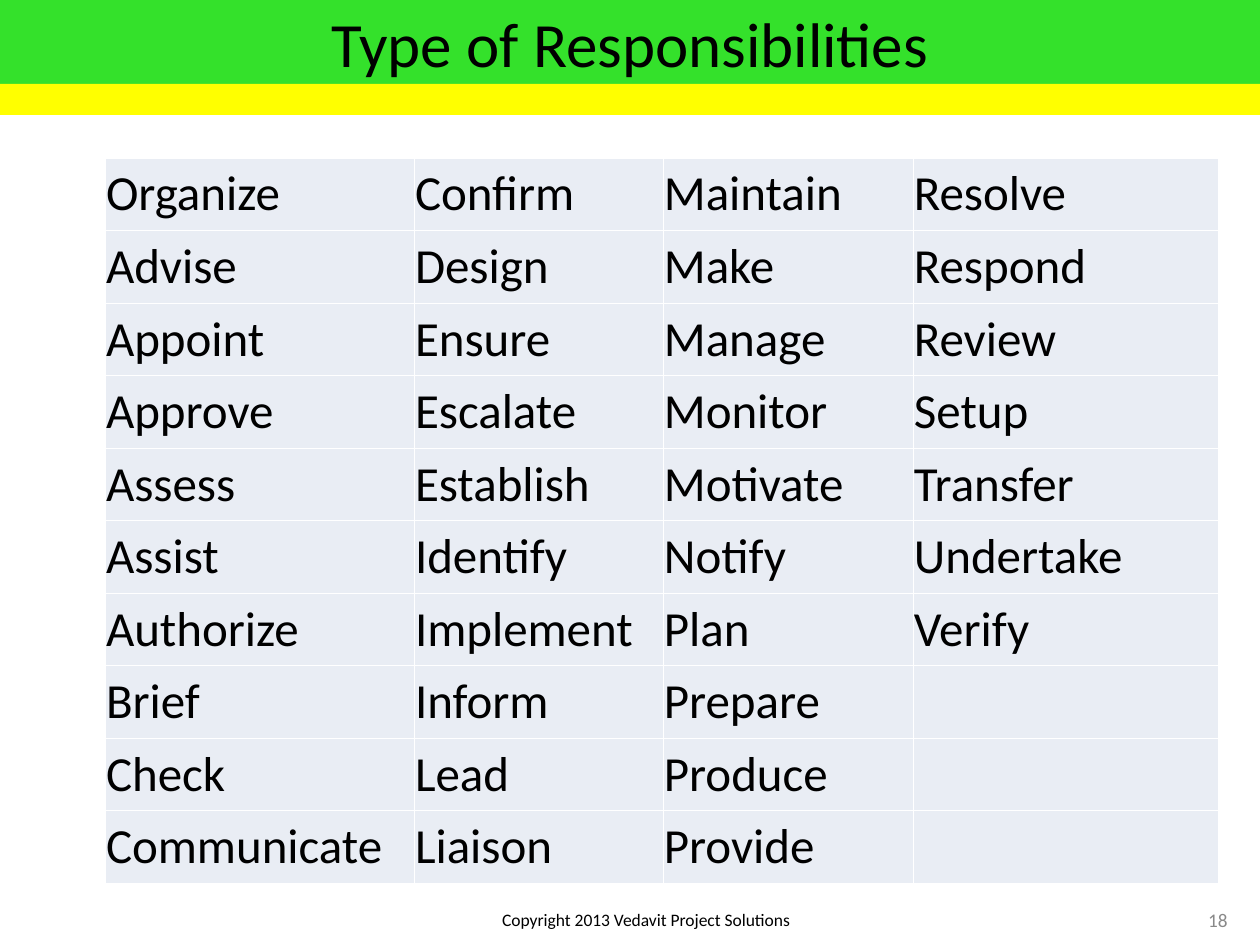
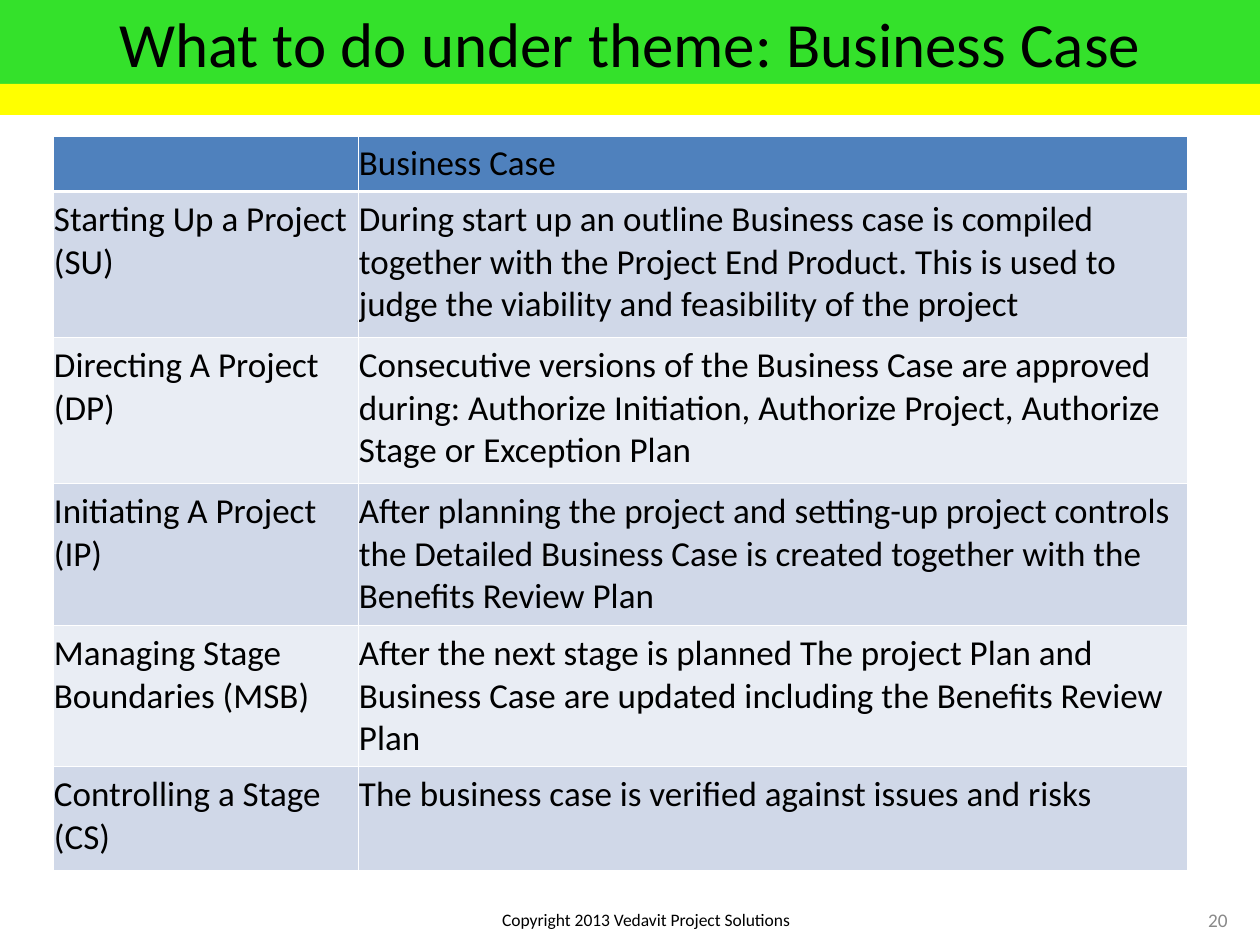
import pptx
import pptx.util
import pptx.dml.color
import pptx.enum.shapes
import pptx.enum.text
import pptx.oxml
import pptx.oxml.ns
from dataclasses import dataclass

FOOTER = "Copyright 2013 Vedavit Project Solutions"

DUTIES = [
    ("Organize", "Confirm", "Maintain", "Resolve"),
    ("Advise", "Design", "Make", "Respond"),
    ("Appoint", "Ensure", "Manage", "Review"),
    ("Approve", "Escalate", "Monitor", "Setup"),
    ("Assess", "Establish", "Motivate", "Transfer"),
    ("Assist", "Identify", "Notify", "Undertake"),
    ("Authorize", "Implement", "Plan", "Verify"),
    ("Brief", "Inform", "Prepare", ""),
    ("Check", "Lead", "Produce", ""),
    ("Communicate", "Liaison", "Provide", ""),
]

STAGES = [
    ("", "Business Case"),
    ("Starting Up a Project (SU)",
     "During start up an outline Business case is compiled together with the "
     "Project End Product. This is used to judge the viability and "
     "feasibility of the project"),
    ("Directing A Project (DP)",
     "Consecutive versions of the Business Case are approved during: "
     "Authorize Initiation, Authorize Project, Authorize Stage or "
     "Exception Plan"),
    ("Initiating A Project (IP)",
     "After planning the project and setting-up project controls the "
     "Detailed Business Case is created together with the Benefits Review "
     "Plan"),
    ("Managing Stage Boundaries (MSB)",
     "After the next stage is planned The project Plan and Business Case are "
     "updated including the Benefits Review Plan"),
    ("Controlling a Stage (CS)",
     "The business case is verified against issues and risks"),
]

SLIDES = [
    dict(title="Type of Responsibilities", number="18", cells=DUTIES,
         spot=(105, 158), cols=(309, 249, 250, 305), rows=[72] * len(DUTIES),
         size=28, anchor="MIDDLE", head=False),
    dict(title="What to do under theme: Business Case", number="20",
         cells=STAGES, spot=(53, 136), cols=(305, 829),
         rows=(55, 146, 146, 142, 141, 104),
         size=20, anchor="TOP", head=True),
]


@dataclass(frozen=True)
class Theme:
    font: str = "Calibri"
    ink: str = "000000"
    gray: str = "898989"
    green: str = "34E12B"
    yellow: str = "FFFF00"
    header: str = "4F81BD"
    dark: str = "D0D8E8"
    light: str = "E9EDF4"
    rule: str = "FFFFFF"
    title: int = 36
    footer: int = 10
    number: int = 11
    thin: float = 0.45
    thick: float = 1.47


THEME = Theme()
WIDE, HIGH = 1260, 945
TITLE_BOX = (0, 0, WIDE, 84)
BAND_BOX = (0, 84, WIDE, 31)
FOOTER_BOX = (462, 903, 368, 32)
NUMBER_BOX = (1176, 895, 84, 50)
ANCHOR = pptx.enum.text.MSO_ANCHOR


def px(n):
    return pptx.util.Emu(round(n * 914400 / 126))


def paint(thing, color):
    thing.fill.solid()
    thing.fill.fore_color.rgb = pptx.dml.color.RGBColor.from_string(color)


def write(frame, text, size, color=THEME.ink, align="LEFT"):
    frame.word_wrap = True
    para = frame.paragraphs[0]
    para.text = text
    para.alignment = getattr(pptx.enum.text.PP_ALIGN, align)
    font = para.font
    font.name, font.size = THEME.font, pptx.util.Pt(size)
    font.color.rgb = pptx.dml.color.RGBColor.from_string(color)


def add_title(slide, text):
    shape = slide.shapes.title
    shape.left, shape.top, shape.width, shape.height = map(px, TITLE_BOX)
    paint(shape, THEME.green)
    write(shape.text_frame, text, THEME.title, align="CENTER")
    shape.text_frame.auto_size = pptx.enum.text.MSO_AUTO_SIZE.NONE
    shape.text_frame.vertical_anchor = ANCHOR.MIDDLE


def add_band(slide):
    kind = pptx.enum.shapes.MSO_SHAPE.RECTANGLE
    band = slide.shapes.add_shape(kind, *map(px, BAND_BOX))
    band.shadow.inherit = False
    paint(band, THEME.yellow)
    band.line.fill.background()


def add_label(slide, box, text, size, color, anchor):
    frame = slide.shapes.add_textbox(*map(px, box)).text_frame
    frame.vertical_anchor = anchor
    write(frame, text, size, color, "CENTER")


def edge(cell, **widths):
    """Rule the cell's sides; DrawingML wants these lines ahead of the fill."""
    props = cell._tc.get_or_add_tcPr()
    for i, side in enumerate("LRTB"):
        width = pptx.util.Pt(widths.get(side, THEME.thin))
        props.insert(i, pptx.oxml.parse_xml(
            f'<a:ln{side} {pptx.oxml.ns.nsdecls("a")} w="{width}">'
            f'<a:solidFill><a:srgbClr val="{THEME.rule}"/></a:solidFill>'
            f'</a:ln{side}>'))


def shade(row, head):
    if not head:
        return THEME.light
    if row == 0:
        return THEME.header
    return THEME.dark if row % 2 else THEME.light


def add_grid(slide, cells, spot, cols, rows, size, anchor, head):
    box = (*spot, sum(cols), sum(rows))
    table = slide.shapes.add_table(len(rows), len(cols), *map(px, box)).table
    table.first_row = table.horz_banding = False
    for col, width in zip(table.columns, cols):
        col.width = px(width)
    for row, height in zip(table.rows, rows):
        row.height = px(height)
    for r, line in enumerate(cells):
        heavy = {0: {"B": THEME.thick}, 1: {"T": THEME.thick}}
        widths = heavy.get(r, {}) if head else {}
        for c, text in enumerate(line):
            cell = table.cell(r, c)
            cell.margin_left = cell.margin_right = px(1)
            cell.vertical_anchor = getattr(ANCHOR, anchor)
            paint(cell, shade(r, head))
            edge(cell, **widths)
            write(cell.text_frame, text, size)


def main():
    deck = pptx.Presentation()
    deck.slide_width, deck.slide_height = px(WIDE), px(HIGH)
    for page in SLIDES:
        title, number, *_ = page.values()
        grid = {k: v for k, v in page.items() if k not in ("title", "number")}
        slide = deck.slides.add_slide(deck.slide_layouts[5])
        add_title(slide, title)
        add_band(slide)
        add_grid(slide, **grid)
        add_label(slide, FOOTER_BOX, FOOTER, THEME.footer, THEME.ink,
                  ANCHOR.TOP)
        add_label(slide, NUMBER_BOX, number, THEME.number, THEME.gray,
                  ANCHOR.MIDDLE)
    deck.save("out.pptx")


if __name__ == "__main__":
    main()
